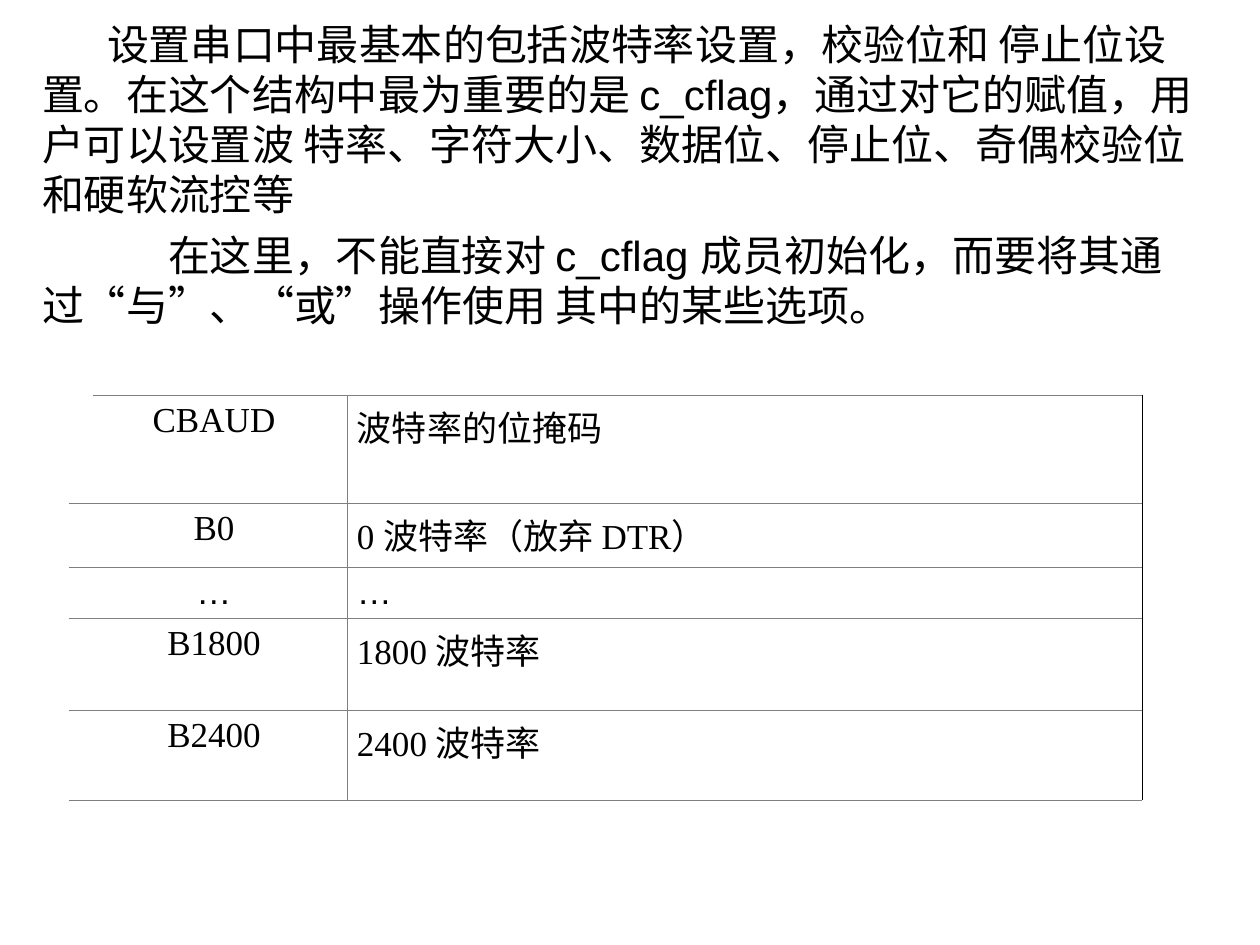
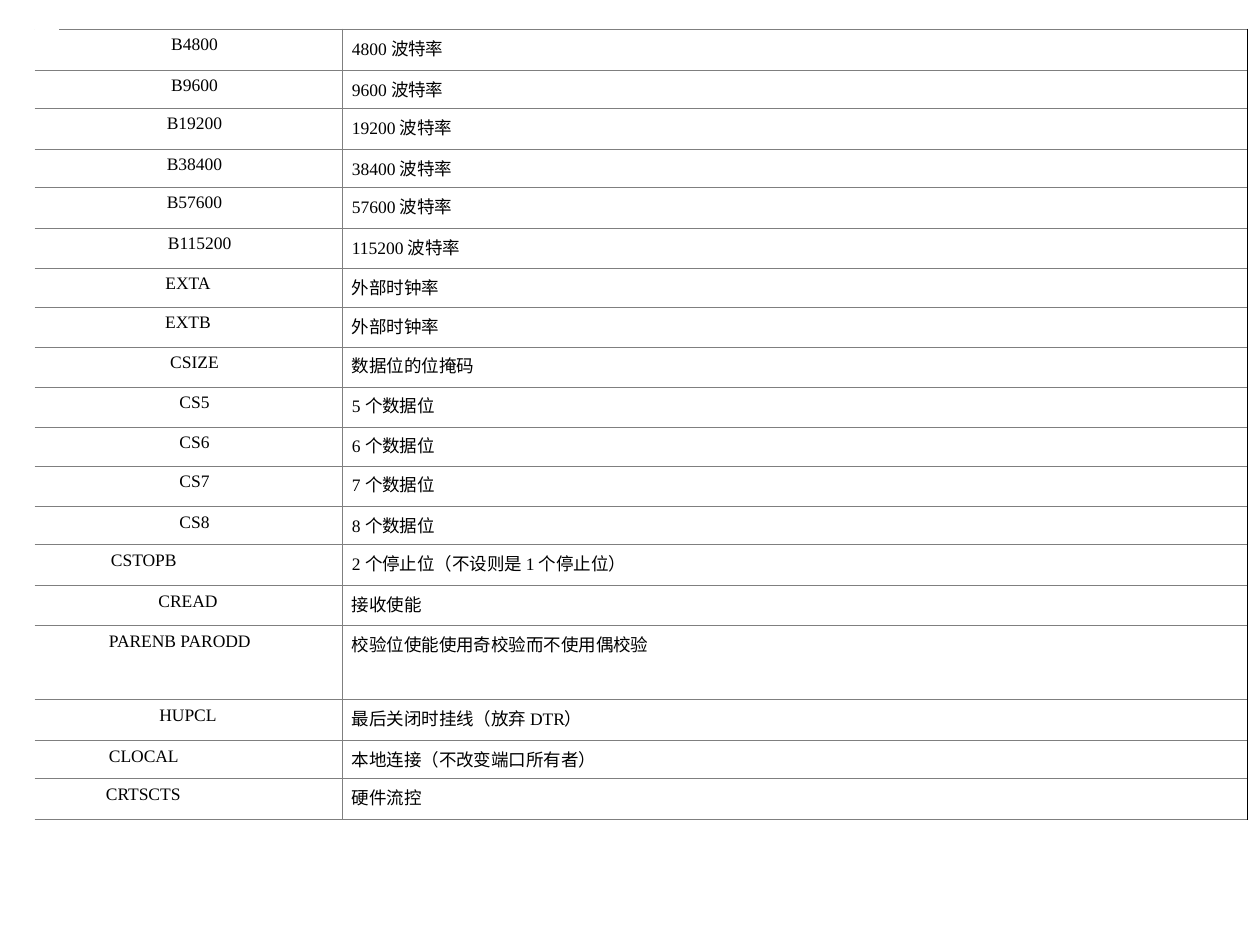
"""Build two slides on the c_cflag serial port options."""
from pptx import Presentation
from pptx.dml.color import RGBColor
from pptx.enum.text import MSO_ANCHOR, PP_ALIGN
from pptx.oxml.ns import qn
from pptx.util import Pt
from lxml import etree

LEFT, CENTER = PP_ALIGN.LEFT, PP_ALIGN.CENTER
TOP = MSO_ANCHOR.TOP
EMU_PER_PX = 914400 / 126
COLORS = {"text": "000000", "rule": "7F7F7F", "edge": "000000", "blank": "FFFFFF"}
LATIN, CHINESE, BODY = "Times New Roman", "Noto Sans CJK SC", "Arial"

INTRO = [
    (65, "设置串口中最基本的包括波特率设置，校验位和 停止位设置。在这个结构中最为重要的是 c_cflag，"
         "通过对它的赋值，用户可以设置波 特率、字符大小、数据位、停止位、奇偶校验位和硬软流控等"),
    (126, "在这里，不能直接对 c_cflag 成员初始化，而要将其通过“与”、“或”操作使用 其中的某些选项。"),
]
BASIC_OPTIONS = [
    ("CBAUD", "波特率的位掩码", 108),
    ("B0", "0 |波特率（放弃 |DTR|）", 64),
    ("…", "…", 51),
    ("B1800", "1800 |波特率", 92),
    ("B2400", "2400 |波特率", 90),
]
MORE_OPTIONS = [
    ("B4800", "4800 |波特率", 41),
    ("B9600", "9600 |波特率", 38),
    ("B19200", "19200 |波特率", 41),
    ("B38400", "38400 |波特率", 38),
    ("B57600", "57600 |波特率", 41),
    ("B115200", "115200 |波特率", 40),
    ("EXTA", "外部时钟率", 39),
    ("EXTB", "外部时钟率", 40),
    ("CSIZE", "数据位的位掩码", 40),
    ("CS5", "5 |个数据位", 40),
    ("CS6", "6 |个数据位", 39),
    ("CS7", "7 |个数据位", 41),
    ("CS8", "8 |个数据位", 38),
    ("CSTOPB", "2 |个停止位（不设则是 |1 |个停止位）", 41),
    ("CREAD", "接收使能", 40),
    ("PARENB PARODD", "校验位使能使用奇校验而不使用偶校验", 74),
    ("HUPCL", "最后关闭时挂线（放弃 |DTR|）", 41),
    ("CLOCAL", "本地连接（不改变端口所有者）", 38),
    ("CRTSCTS", "硬件流控", 41),
]
LEFT_INDENTS = {"B115200": 121, "CSTOPB": 64, "PARENB PARODD": 62, "CLOCAL": 62, "CRTSCTS": 59}
SHIFTED_NAMES = {"EXTA", "EXTB", "CREAD", "HUPCL"}

RULE = ("rule", 0.45)
NAME_BORDERS = {"L": ("blank", 15.93), "R": RULE, "T": RULE, "B": RULE}
MEANING_BORDERS = {"L": RULE, "R": ("edge", 0.34), "T": RULE, "B": RULE}


def px(length):
    return round(length * EMU_PER_PX)


def add_run(paragraph, text, font_name, east_asian_name, size):
    run = paragraph.add_run()
    run.text = text
    run.font.name = font_name
    run.font.size = Pt(size)
    run.font.color.rgb = RGBColor.from_string(COLORS["text"])
    east_asian = etree.Element(qn("a:ea"), typeface=east_asian_name)
    run.font._element.find(qn("a:latin")).addnext(east_asian)


def font_for(text):
    if text == "…":
        return BODY
    return LATIN if text.isascii() else CHINESE


def set_borders(cell, borders):
    properties = cell._tc.get_or_add_tcPr()
    for side, (color, width) in borders.items():
        line = etree.SubElement(properties, qn(f"a:ln{side}"), w=str(Pt(width)))
        fill = etree.SubElement(line, qn("a:solidFill"))
        etree.SubElement(fill, qn("a:srgbClr"), val=COLORS[color])


def fill_cell(cell, text, size, alignment, margins, borders):
    cell.margin_left, cell.margin_right = map(px, margins)
    cell.margin_top, cell.margin_bottom = px(6), px(2)
    cell.vertical_anchor = TOP
    set_borders(cell, borders)
    cell.fill.background()
    paragraph = cell.text_frame.paragraphs[0]
    paragraph.alignment = alignment
    for part in text.split("|"):
        font_name = font_for(part)
        add_run(paragraph, part, font_name, font_name, size)


def name_layout(name):
    if name in LEFT_INDENTS:
        return LEFT, (LEFT_INDENTS[name], 13)
    return CENTER, (0, 13) if name in SHIFTED_NAMES else (65, 65)


def add_option_table(slide, options, left, top, widths, size):
    height = sum(option[2] for option in options)
    frame = slide.shapes.add_table(len(options), len(widths), px(left), px(top),
                                   px(sum(widths)), px(height))
    table = frame.table
    table.first_row = table.horz_banding = False
    for column, width in zip(table.columns, widths):
        column.width = px(width)
    for row, (name, meaning, row_height) in zip(table.rows, options):
        row.height = px(row_height)
        name_cell, meaning_cell = row.cells
        fill_cell(name_cell, name, size, *name_layout(name), NAME_BORDERS)
        fill_cell(meaning_cell, meaning, size, LEFT, (10, 13), MEANING_BORDERS)


def add_intro(slide):
    frame = slide.shapes.add_textbox(px(29), px(9), px(1201), px(835)).text_frame
    frame.word_wrap = True
    frame.margin_left = frame.margin_right = px(13)
    frame.margin_top, frame.margin_bottom = px(10), px(6)
    for index, (indent, text) in enumerate(INTRO):
        paragraph = frame.add_paragraph() if index else frame.paragraphs[0]
        properties = paragraph._p.get_or_add_pPr()
        properties.set("indent", str(px(indent)))
        properties.set("hangingPunct", "0")
        paragraph.line_spacing = Pt(28.6)
        if index:
            paragraph.space_before = Pt(6)
        add_run(paragraph, text, BODY, CHINESE, 24)


def main():
    presentation = Presentation()
    presentation.slide_width, presentation.slide_height = px(1260), px(945)
    blank_layout = presentation.slide_layouts[6]
    intro_slide = presentation.slides.add_slide(blank_layout)
    add_intro(intro_slide)
    add_option_table(intro_slide, BASIC_OPTIONS, 81, 395, (266, 795), 20)
    options_slide = presentation.slides.add_slide(blank_layout)
    add_option_table(options_slide, MORE_OPTIONS, 47, 29, (295, 905), 10)
    presentation.save("out.pptx")


if __name__ == "__main__":
    main()
